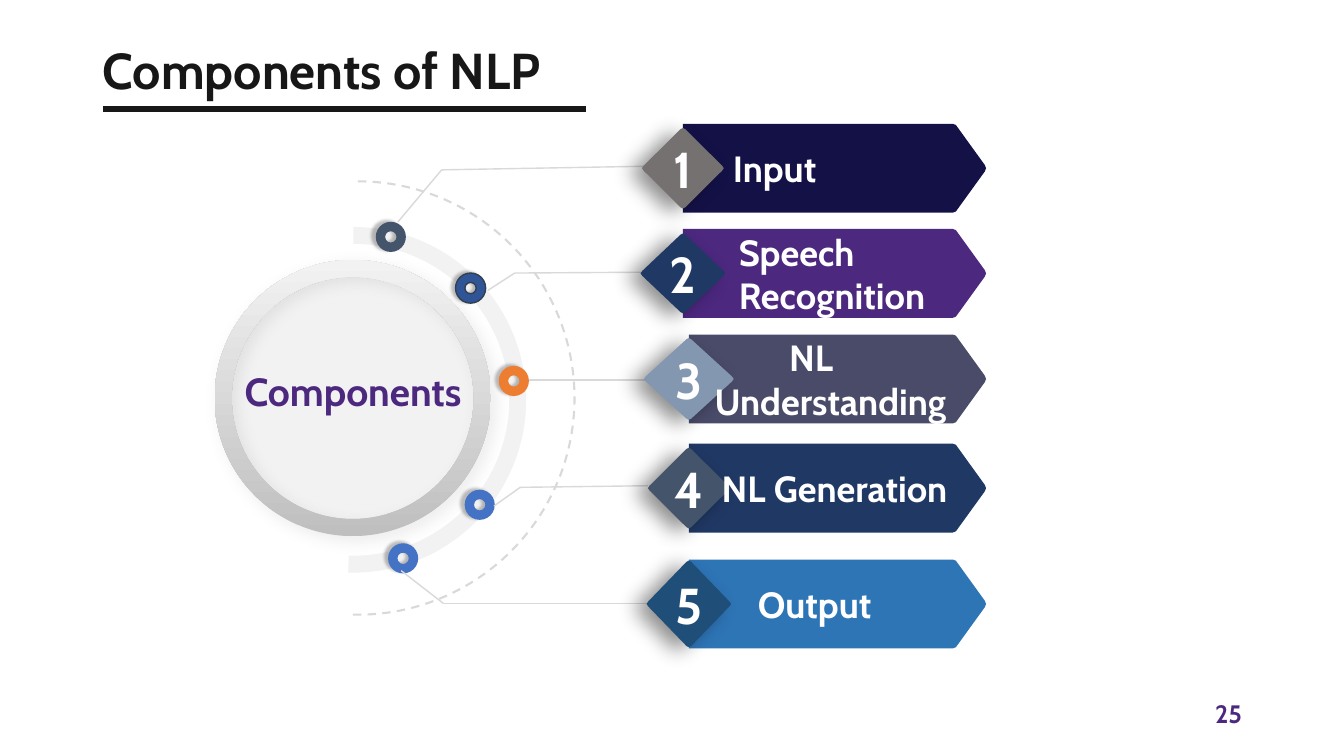
from pptx import Presentation
from pptx.dml.color import RGBColor
from pptx.enum.dml import MSO_LINE
from pptx.enum.shapes import MSO_CONNECTOR, MSO_SHAPE
from pptx.enum.text import MSO_ANCHOR, MSO_AUTO_SIZE, PP_ALIGN
from pptx.oxml.ns import qn
from pptx.util import Cm, Pt
from lxml.etree import SubElement

FONT = "Cabin"
PURPLE, BLACK, WHITE = "4C287F", "181717", "FFFFFF"
PALE, RULE = "F2F2F2", "D9D9D9"
LEFT, MID, RIGHT = PP_ALIGN.LEFT, PP_ALIGN.CENTER, PP_ALIGN.RIGHT
TIP, TALL = 24.85, 2.24  # right end and height of the banners

# Axis x, banner top, banner colour, diamond width, height and colour,
# label, its left, width, alignment and first-line indent
ROWS = [
    (17.21, 3.12, "141147", 2.06, 2.03, "767171", "Input", 18.47, 6.48, LEFT, 0),
    (17.21, 5.77, PURPLE, 2.13, 2.01, "203864", "Speech Recognition", 18.62, 5.87, LEFT, 0),
    (17.36, 8.43, "494B69", 2.26, 2.06, "8497B0", "NL Understanding", 18.01, 6.48, LEFT, 1.88),
    (17.36, 11.18, "203864", 2.06, 2.03, "44546A", "NL Generation", 18.01, 6.05, MID, 0),
    (17.36, 14.1, "2E75B6", 2.13, 2.18, "1F4E79", "Output", 19.1, 5.74, LEFT, 0),
]

# Dot left, top, fill and outline
DOTS = [
    (9.47, 5.59, "44546A", None),
    (11.48, 6.88, "2F5597", "333F50"),
    (12.57, 9.22, "ED7D31", None),
    (11.71, 12.34, "4472C4", None),
    (9.78, 13.69, "4472C4", None),
]

# Points from each diamond to its dot
LEADS = [
    [(16.23, 4.19), (11.13, 4.28), (10.03, 5.59)],
    [(16.15, 6.86), (12.97, 6.88), (12.29, 7.32)],
    [(16.26, 9.58), (13.34, 9.58)],
    [(16.33, 12.24), (13.11, 12.28), (12.45, 12.75)],
    [(16.31, 15.21), (11.18, 15.21), (10.11, 14.38)],
]


def color(code):
    return RGBColor.from_string(code)


def paint(shape, fill=None, line=None, width=1):
    shape.shadow.inherit = False
    if fill:
        shape.fill.solid()
        shape.fill.fore_color.rgb = color(fill)
    else:
        shape.fill.background()
    if line:
        shape.line.color.rgb = color(line)
        shape.line.width = Pt(width)
    else:
        shape.line.fill.background()


def shade(shape, alpha, blur, dist, angle):
    effects = shape._element.spPr.find(qn("a:effectLst"))
    outer = SubElement(effects, qn("a:outerShdw"), blurRad=str(Pt(blur)),
                       dist=str(Pt(dist)), dir=str(angle * 60000),
                       algn="ctr", rotWithShape="0")
    black = SubElement(outer, qn("a:srgbClr"), val="000000")
    SubElement(black, qn("a:alpha"), val=str(alpha * 1000))


def write(frame, text, size, code, align=LEFT, inset=0.25):
    frame.word_wrap = True
    frame.auto_size = MSO_AUTO_SIZE.NONE
    frame.vertical_anchor = MSO_ANCHOR.MIDDLE
    frame.margin_left = frame.margin_right = Cm(inset)
    frame.margin_top = frame.margin_bottom = Cm(0.13)
    frame.text = text
    para = frame.paragraphs[0]
    para.alignment = align
    para.font.name = FONT
    para.font.size = Pt(size)
    para.font.bold = True
    para.font.color.rgb = color(code)
    return para


def label(slide, box, *style):
    area = slide.shapes.add_textbox(*map(Cm, box))
    return write(area.text_frame, *style)


def preset(slide, kind, box, *adjust):
    shape = slide.shapes.add_shape(kind, *map(Cm, box))
    for i, value in enumerate(adjust):
        shape.adjustments[i] = value
    return shape


def join(slide, start, end, code, width):
    line = slide.shapes.add_connector(MSO_CONNECTOR.STRAIGHT,
                                      *map(Cm, start + end))
    line.line.color.rgb = color(code)
    line.line.width = Pt(width)
    SubElement(line._element.spPr, qn("a:effectLst"))


def outline(slide, points, fill):
    spots = [(Cm(x), Cm(y)) for x, y in points]
    pen = slide.shapes.build_freeform(*spots[0])
    pen.add_line_segments(spots[1:])
    shape = pen.convert_to_shape()
    paint(shape, fill)
    return shape


def banner(slide, left, top, fill):
    edge = [(0.84, 0), (0.76, 0.03), (0.03, 1.04)]
    upper = [(TIP - x, top + y) for x, y in edge]
    lower = [(TIP - x, top + TALL - y) for x, y in reversed(edge)]
    tip = [(TIP, top + TALL / 2)]
    outline(slide, [(left, top)] + upper + tip + lower + [(left, top + TALL)], fill)


def diamond(slide, x, y, wide, high, fill, text):
    a, b = wide / 2, high / 2
    turn = [(0, -b), (0.06, 0.03 - b), (a - 0.04, -0.06),
            (a, 0), (a - 0.04, 0.06), (0.06, b - 0.03)]
    points = [(x + s * u, y + s * v) for s in (1, -1) for u, v in turn]
    shape = outline(slide, points, fill)
    shade(shape, 44, 15, 9, 160)
    write(shape.text_frame, text, 36, WHITE, MID)


def wheel(slide):
    disc = preset(slide, MSO_SHAPE.OVAL, (5.61, 6.76, 6.58, 6.58))
    paint(disc, PALE)
    ring = preset(slide, MSO_SHAPE.DONUT, (5.41, 6.55, 6.96, 6.96), 0.062)
    paint(ring, PALE)
    ring.fill.gradient()
    ring.fill.gradient_angle = 90
    for stop, code in zip(ring.fill.gradient_stops, ("BFBFBF", PALE)):
        stop.color.rgb = color(code)
    shade(ring, 8, 12, 5, 45)
    track = preset(slide, MSO_SHAPE.BLOCK_ARC, (4.55, 5.72, 8.71, 8.71),
                   108, 1.027, 0.049)
    track.rotation = 90
    paint(track, PALE)
    orbit = preset(slide, MSO_SHAPE.ARC, (3.56, 4.57, 10.92, 10.92), 162, 54.934)
    paint(orbit, None, RULE, 1.5)
    orbit.line.dash_style = MSO_LINE.DASH
    label(slide, (5.82, 9.12, 6.15, 1.45), "Components", 28, PURPLE, MID, 0)


def main():
    deck = Presentation()
    deck.slide_width, deck.slide_height = Cm(33.87), Cm(19.05)
    slide = deck.slides.add_slide(deck.slide_layouts[5])

    # Title, rule and page number
    title = slide.shapes.title
    title.left, title.top, title.width, title.height = map(Cm, (2.34, 0, 29.21, 3.68))
    write(title.text_frame, "Components of NLP", 36, BLACK).line_spacing = 0.9
    join(slide, (2.59, 2.74), (14.76, 2.74), BLACK, 4.5)
    label(slide, (23.93, 17.48, 7.62, 1.02), "25", 18, PURPLE, RIGHT)

    # Wheel with its dots
    wheel(slide)
    for left, top, fill, line in DOTS:
        dot = preset(slide, MSO_SHAPE.DONUT, (left, top, 0.76, 0.76), 0.312)
        paint(dot, fill, line)
        shade(dot, 25, 2, 3, 200)

    # Lead lines
    for points in LEADS:
        for start, end in zip(points, points[1:]):
            join(slide, start, end, RULE, 1)

    # Numbered banners
    for num, row in enumerate(ROWS, 1):
        x, top, back, wide, high, fill, text, left, span, align, indent = row
        y = top + TALL / 2
        banner(slide, x, top, back)
        diamond(slide, x, y, wide, high, fill, str(num))
        para = label(slide, (left, y - 1.25, span, 2.5), text, 26, WHITE, align, 0)
        if indent:
            para._p.get_or_add_pPr().set("indent", str(Cm(indent)))

    deck.save("out.pptx")


if __name__ == "__main__":
    main()
